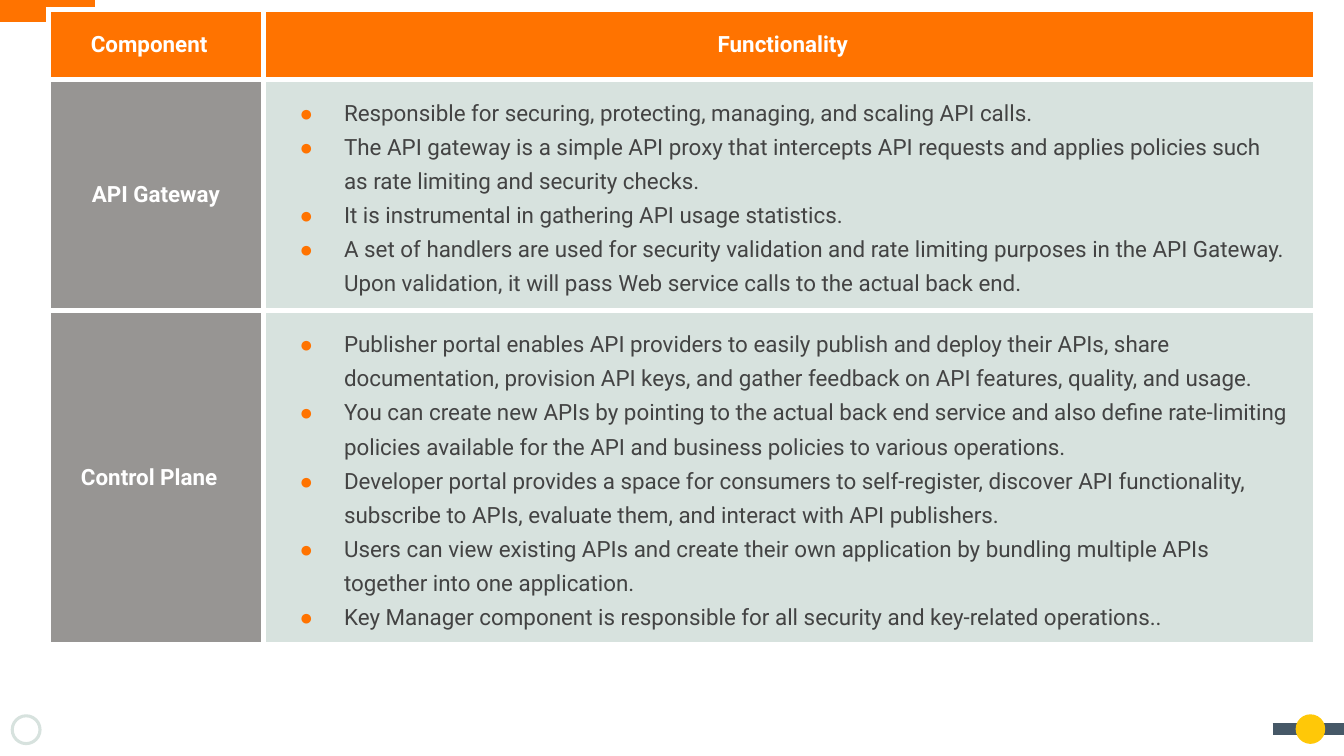
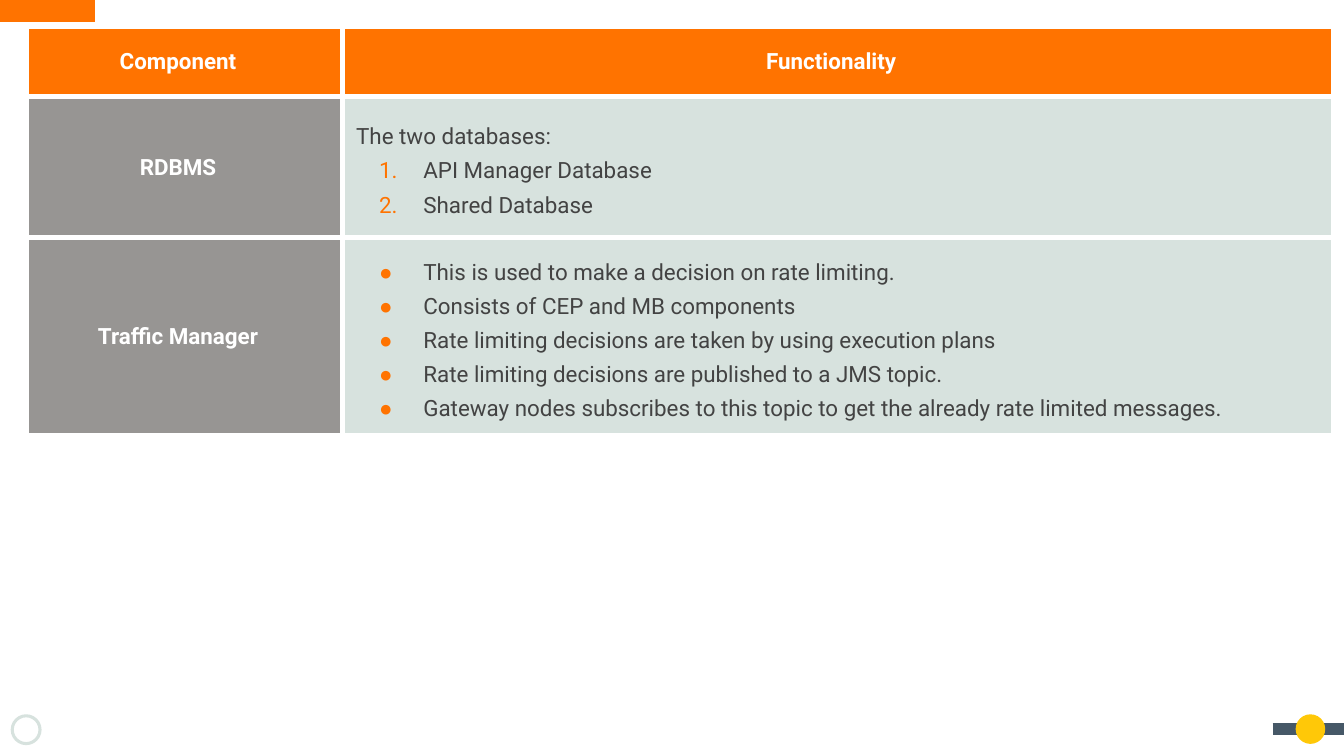
import pptx
import pptx.util
import pptx.dml.color
import pptx.enum.shapes
import pptx.enum.text
import pptx.oxml.ns
from lxml import etree

Inches, Pt = pptx.util.Inches, pptx.util.Pt
SHAPES = pptx.enum.shapes.MSO_SHAPE
FONT = "Roboto"
BULLET_FONT = "Arial"
COLORS = {
    "accent": "FF7300",
    "label": "979593",
    "body": "D7E2DE",
    "text": "434343",
    "slate": "465867",
    "yellow": "FFC808",
    "white": "FFFFFF",
}

GATEWAY = [
    "Responsible for securing, protecting, managing, and scaling API calls.",
    "The API gateway is a simple API proxy that intercepts API requests and "
    "applies policies such as rate limiting and security checks.",
    "It is instrumental in gathering API usage statistics.",
    "A set of handlers are used for security validation and rate limiting "
    "purposes in the API Gateway. Upon validation, it will pass Web service "
    "calls to the actual back end.",
]
CONTROL_PLANE = [
    "Publisher portal enables API providers to easily publish and deploy their "
    "APIs, share documentation, provision API keys, and gather feedback on API "
    "features, quality, and usage.",
    "You can create new APIs by pointing to the actual back end service and also "
    "define rate-limiting policies available for the API and business policies "
    "to various operations.",
    "Developer portal provides a space for consumers to self-register, discover "
    "API functionality, subscribe to APIs, evaluate them, and interact with API "
    "publishers.",
    "Users can view existing APIs and create their own application by bundling "
    "multiple APIs together into one application.",
    "Key Manager component is responsible for all security and key-related "
    "operations..",
]
TRAFFIC_MANAGER = [
    "This is used to make a decision on rate limiting.",
    "Consists of CEP and MB components",
    "Rate limiting decisions are taken by using execution plans",
    "Rate limiting decisions are published to a JMS topic.",
    "Gateway nodes subscribes to this topic to get the already rate limited messages.",
]


def rgb(name):
    return pptx.dml.color.RGBColor.from_string(COLORS[name])


def sub(parent, tag, **attrs):
    return etree.SubElement(parent, pptx.oxml.ns.qn(tag), **attrs)


def add_bar(s, x1, x2, y, color, weight):
    line = s.shapes.add_connector(
        pptx.enum.shapes.MSO_CONNECTOR.STRAIGHT,
        Inches(x1), Inches(y), Inches(x2), Inches(y))
    line.line.color.rgb = rgb(color)
    line.line.width = Pt(weight)
    sub(line._element.spPr, "a:effectLst")


def add_round(s, kind, x, y, size, color):
    sp = s.shapes.add_shape(kind, Inches(x), Inches(y), Inches(size), Inches(size))
    sp.shadow.inherit = False
    sp.fill.solid()
    sp.fill.fore_color.rgb = rgb(color)
    sp.line.fill.background()
    return sp


def add_frame(s, width, height):
    """Corner bar, footer ring and page marker shared by all slides."""
    add_bar(s, -0.03, 0.71, 0.08, "accent", 12)
    ring = add_round(s, SHAPES.DONUT, 0.08, height - 0.31, 0.23, "body")
    ring.adjustments[0] = 0.1
    add_bar(s, width - 0.53, width + 0.04, height - 0.2, "slate", 6)
    add_round(s, SHAPES.OVAL, width - 0.36, height - 0.31, 0.22, "yellow")


def style_cell(cell, color):
    cell.vertical_anchor = pptx.enum.text.MSO_ANCHOR.MIDDLE
    cell.margin_left = cell.margin_right = Inches(0.1)
    cell.margin_top = cell.margin_bottom = Inches(0.1)
    tcPr = cell._tc.get_or_add_tcPr()
    for side in ("a:lnL", "a:lnR", "a:lnT", "a:lnB"):
        border = sub(tcPr, side, w=str(Pt(3)))
        sub(sub(border, "a:solidFill"), "a:srgbClr", val=COLORS["white"])
    cell.fill.solid()
    cell.fill.fore_color.rgb = rgb(color)


def style_paragraph(p, text, color, bold=False):
    p.text = text
    p._p.get_or_add_pPr().set("marR", str(Inches(0.1)))
    p.font.name = FONT
    p.font.size = Pt(12)
    p.font.bold = bold
    p.font.color.rgb = rgb(color)


def add_bullet(p, numbered):
    pPr = p._p.get_or_add_pPr()
    pPr.set("marL", str(Inches(0.5)))
    pPr.set("indent", str(Inches(-0.33)))
    sub(sub(pPr, "a:buClr"), "a:srgbClr", val=COLORS["accent"])
    sub(pPr, "a:buFont", typeface=FONT if numbered else BULLET_FONT)
    if numbered:
        sub(pPr, "a:buAutoNum", type="arabicPeriod")
    else:
        sub(pPr, "a:buChar", char="●")


def fill_heading(cell, text, color, indent=0):
    style_cell(cell, color)
    p = cell.text_frame.paragraphs[0]
    p.alignment = pptx.enum.text.PP_ALIGN.CENTER
    style_paragraph(p, text, "white", bold=True)
    if indent:
        p._p.get_or_add_pPr().set("marL", str(Inches(indent)))


def fill_list(cell, items, intro=None):
    """Bulleted items, or numbered ones below an introduction."""
    style_cell(cell, "body")
    tf = cell.text_frame
    lines = [intro] + items if intro else items
    for i, text in enumerate(lines):
        p = tf.add_paragraph() if i else tf.paragraphs[0]
        p.line_spacing = 1.3
        if i or not intro:
            add_bullet(p, numbered=bool(intro))
        style_paragraph(p, text, "text")


def add_component_table(s, x, y, col_widths, row_heights, components):
    table = s.shapes.add_table(
        len(row_heights), len(col_widths), Inches(x), Inches(y),
        Inches(sum(col_widths)), Inches(sum(row_heights))).table
    table.first_row = table.horz_banding = False
    for column, width in zip(table.columns, col_widths):
        column.width = Inches(width)
    for row, height in zip(table.rows, row_heights):
        row.height = Inches(height)
    for c, heading in enumerate(("Component", "Functionality")):
        fill_heading(table.cell(0, c), heading, "accent")
    for r, component in enumerate(components, 1):
        fill_heading(table.cell(r, 0), component["name"], "label",
                     component.get("indent", 0))
        fill_list(table.cell(r, 1), component["items"], component.get("intro"))


def add_component_slide(prs, **table):
    s = prs.slides.add_slide(prs.slide_layouts[6])
    add_frame(s, prs.slide_width.inches, prs.slide_height.inches)
    add_component_table(s, **table)


def main():
    prs = pptx.Presentation()
    prs.slide_width = Inches(10)
    prs.slide_height = Inches(10 * 9 / 16)
    add_component_slide(
        prs, x=0.36, y=0.07, col_widths=(1.6, 7.83), row_heights=(0.52, 1.02, 1.45),
        components=[
            {"name": "API Gateway", "items": GATEWAY, "indent": 0.1},
            {"name": "Control Plane", "items": CONTROL_PLANE},
        ])
    add_component_slide(
        prs, x=0.2, y=0.2, col_widths=(2.35, 7.37), row_heights=(0.52, 1.05, 1.28),
        components=[
            {"name": "RDBMS", "intro": "The two databases:",
             "items": ["API Manager Database", "Shared Database"]},
            {"name": "Traffic Manager", "items": TRAFFIC_MANAGER},
        ])
    prs.save("out.pptx")


if __name__ == "__main__":
    main()
